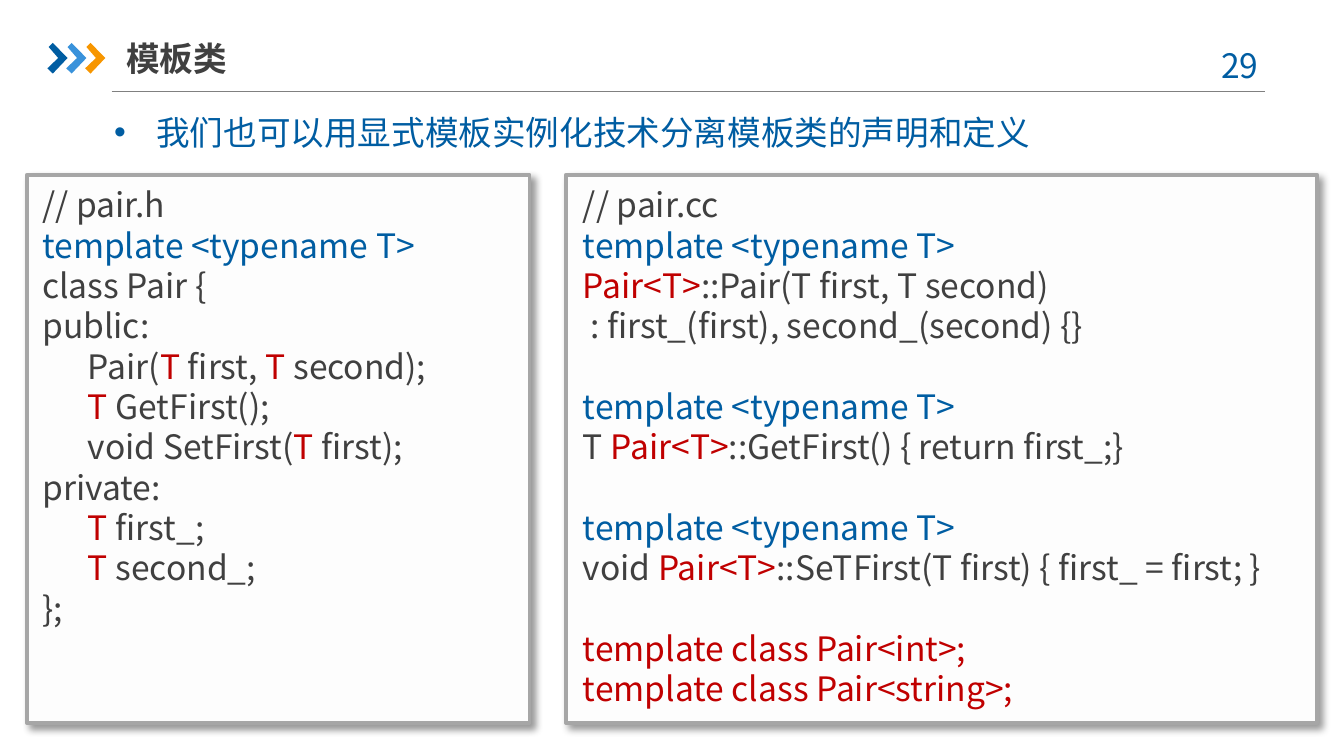
"""Builds a slide on splitting a template class into header and source."""
from lxml.etree import SubElement
from pptx import Presentation
from pptx.dml.color import RGBColor as RGB
from pptx.enum.shapes import MSO_CONNECTOR as LINE, MSO_SHAPE as SHAPE
from pptx.enum.text import MSO_ANCHOR as ANCHOR, MSO_AUTO_SIZE as FIT, PP_ALIGN as ALIGN
from pptx.oxml.ns import qn
from pptx.util import Pt

HUES = {"blue": "005DA2", "sky": "3992DB", "gold": "F79600", "dark": "404040",
        "red": "C00000", "gray": "808080", "edge": "A6A6A6", "panel": "FDFDFD",
        "black": "000000"}
FONT = "Noto Sans CJK SC"
PITCH = 21.6


def add_run(para, text, hue, bold=False):
    para.line_spacing = Pt(PITCH)
    run = para.add_run()
    run.text = text
    font = run.font
    font.size, font.name, font.bold = Pt(18), FONT, bold
    font.color.rgb = RGB.from_string(HUES[hue])
    SubElement(font._element, qn("a:ea"), typeface=FONT)


def place(shape, left, top, width, height):
    shape.left, shape.top = Pt(left), Pt(top)
    shape.width, shape.height = Pt(width), Pt(height)
    frame = shape.text_frame
    frame.word_wrap, frame.auto_size = True, FIT.NONE
    return frame


deck = Presentation()
deck.slide_width, deck.slide_height = Pt(720), Pt(405)
slide = deck.slides.add_slide(deck.slide_layouts[1])
shapes = slide.shapes

rule = shapes.add_connector(LINE.STRAIGHT, Pt(59.8), Pt(49.2), Pt(677.5), Pt(49.2))
rule.line.color.rgb = RGB.from_string(HUES["gray"])
rule.line.width = Pt(0.75)
SubElement(rule._element.spPr, qn("a:effectLst"))

marks = shapes.add_group_shape()
outline = [(0.7, 2.2), (2.9, 0), (10.8, 8.1), (2.9, 16.4), (0, 13.6), (5.8, 8.1)]
for i, hue in enumerate(["blue", "sky", "gold"]):
    points = [(Pt(25.4 + 10.1 * i + x), Pt(23 + y)) for x, y in outline]
    pen = marks.shapes.build_freeform(*points[0])
    pen.add_line_segments(points[1:], close=True)
    mark = pen.convert_to_shape()
    mark.shadow.inherit = False
    mark.fill.solid()
    mark.fill.fore_color.rgb = RGB.from_string(HUES[hue])
    mark.line.fill.background()

frame = place(shapes.title, 67.7, 16, 185, 30)
frame.margin_left = frame.margin_right = 0
frame.vertical_anchor = ANCHOR.MIDDLE
para = frame.paragraphs[0]
para.alignment = ALIGN.LEFT
add_run(para, "模板类", "dark", True)

frame = place(shapes.add_textbox(0, 0, 0, 0), 638, 20.3, 52.5, 29)
para = frame.paragraphs[0]
para.alignment = ALIGN.CENTER
add_run(para, "29", "blue")

frame = place(slide.placeholders[1], 54, 56.5, 623.5, 29)
para = frame.paragraphs[0]
para.alignment, para.space_before, para.space_after = ALIGN.JUSTIFY, Pt(0), Pt(12)
add_run(para, "我们也可以用显式模板实例化技术分离模板类的声明和定义", "blue")
props = para._p.get_or_add_pPr()
props.set("marL", str(Pt(22.5)))
props.set("indent", str(Pt(-22.5)))
SubElement(props, qn("a:buFont"), typeface="Arial")
SubElement(props, qn("a:buChar"), char="•")

intro = [("template <typename T>", "blue")]
owner = ("Pair<T>", "red")
kind = ("T", "red")
header = [
    (0, 0, [("// pair.h", "dark")]),
    (0, 0, intro),
    (0, 0, [("class Pair {", "dark")]),
    (0, 0, [("public:", "dark")]),
    (1, 0, [("Pair(", "dark"), kind, (" first, ", "dark"), kind, (" second);", "dark")]),
    (1, 0, [kind, (" GetFirst();", "dark")]),
    (1, 0, [("void SetFirst(", "dark"), kind, (" first);", "dark")]),
    (0, 0, [("private:", "dark")]),
    (1, 0, [kind, (" first_;", "dark")]),
    (1, 0, [kind, (" second_;", "dark")]),
    (0, 0, [("};", "dark")]),
]
source = [
    (0, 0, [("// pair.cc", "dark")]),
    (0, 0, intro),
    (0, 0, [owner, ("::Pair(T first, T second)", "dark")]),
    (0, 0, [(" : first_(first), second_(second) {}", "dark")]),
    (0, 1, intro),
    (0, 0, [("T ", "dark"), owner, ("::GetFirst() { return first_;}", "dark")]),
    (0, 1, intro),
    (0, 0, [("void ", "dark"), owner, ("::SeTFirst(T first) { first_ = first; }", "dark")]),
    (0, 1, [("template class Pair<int>;", "red")]),
    (0, 0, [("template class Pair<string>;", "red")]),
]
for left, width, inset, lines in [(14.4, 269.3, 1.2, header), (303.2, 402.5, 2, source)]:
    group = shapes.add_group_shape()
    panel = group.shapes.add_shape(SHAPE.RECTANGLE, Pt(left), Pt(93.6), Pt(width), Pt(293.8))
    panel.fill.solid()
    panel.fill.fore_color.rgb = RGB.from_string(HUES["panel"])
    panel.line.color.rgb = RGB.from_string(HUES["edge"])
    panel.line.width = Pt(2)
    panel.shadow.inherit = False
    effects = panel._element.spPr.find(qn("a:effectLst"))
    shade = SubElement(effects, qn("a:outerShdw"), blurRad=str(Pt(4)), dist=str(Pt(3)),
                       dir="2700000", algn="tl", rotWithShape="0")
    tint = SubElement(shade, qn("a:srgbClr"), val=HUES["black"])
    SubElement(tint, qn("a:alpha"), val="40000")

    box = group.shapes.add_textbox(0, 0, 0, 0)
    frame = place(box, left + inset, 95.2, width - 8, 290)
    for i, (step, gap, runs) in enumerate(lines):
        para = frame.add_paragraph() if i else frame.paragraphs[0]
        para.space_before = Pt(PITCH * gap)
        para._p.get_or_add_pPr().set("marL", str(Pt(24.5 * step)))
        for text, hue in runs:
            add_run(para, text, hue)

deck.save("out.pptx")
